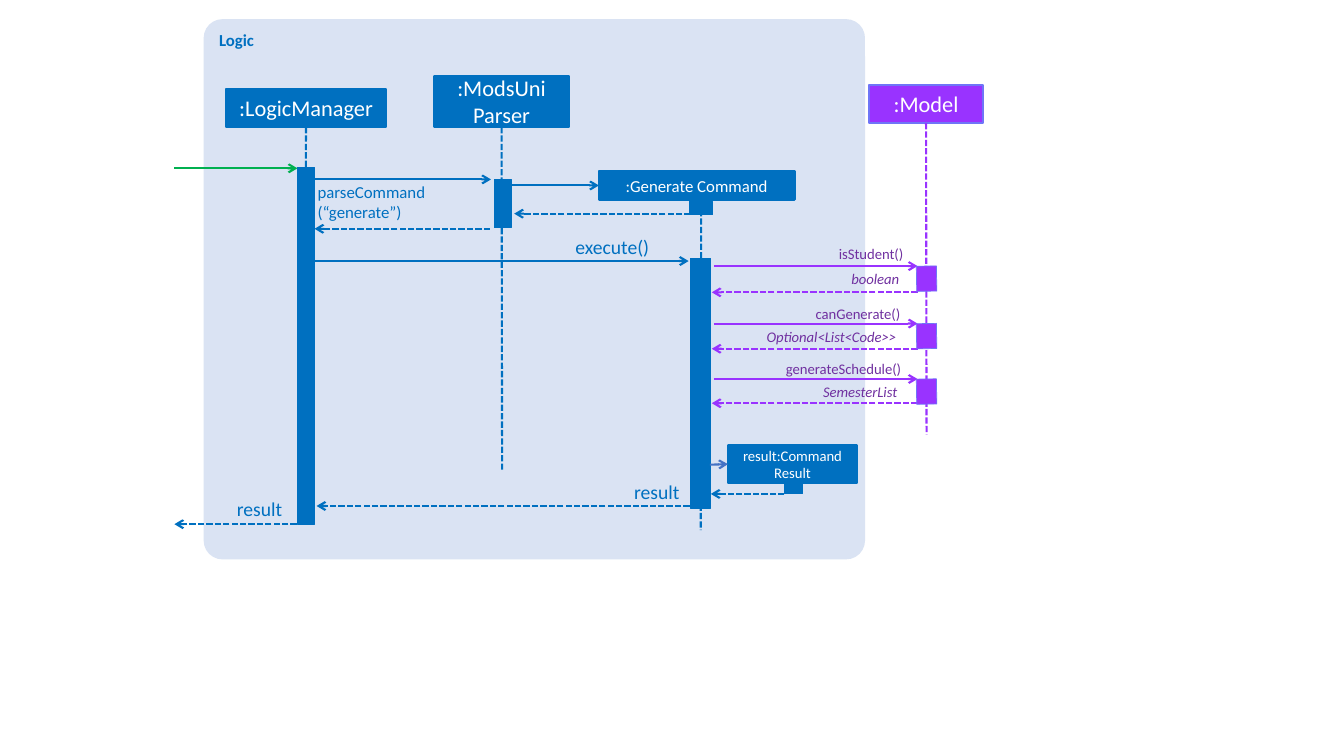
from lxml import etree
from pptx import Presentation
from pptx.dml.color import RGBColor
from pptx.enum.dml import MSO_LINE
from pptx.enum.shapes import MSO_CONNECTOR, MSO_SHAPE
from pptx.enum.text import MSO_ANCHOR, MSO_AUTO_SIZE, PP_ALIGN
from pptx.oxml.ns import qn
from pptx.util import Inches, Pt

RECT, ROUNDED = MSO_SHAPE.RECTANGLE, MSO_SHAPE.ROUNDED_RECTANGLE
STRAIGHT, DASHED = MSO_CONNECTOR.STRAIGHT, MSO_LINE.SQUARE_DOT
TOP, MIDDLE = MSO_ANCHOR.TOP, MSO_ANCHOR.MIDDLE
GROW = MSO_AUTO_SIZE.SHAPE_TO_FIT_TEXT
LEFT, CENTER, RIGHT = PP_ALIGN.LEFT, PP_ALIGN.CENTER, PP_ALIGN.RIGHT
TOP_SIDE, LEFT_SIDE, BOTTOM_SIDE = 0, 1, 2

COLORS = {
    "panel": "DAE3F3", "logic": "0070C0", "model": "9933FF",
    "model_edge": "6F75F7", "model_text": "7030A0", "caller": "00B050",
    "create": "4472C4", "white": "FFFFFF",
}


class SequenceDiagram:
    """Draws on a grid whose columns and rows are a tenth of an inch."""

    font = "Calibri"
    cell = Inches(0.1)
    line_width = 1.5

    def __init__(self, slide):
        self.shapes = slide.shapes

    def grid(self, *lengths):
        return [round(length * self.cell) for length in lengths]

    def color(self, name):
        return RGBColor.from_string(COLORS[name])

    def set_text(self, frame, text, size, color, align, bold=False, italic=False):
        frame.word_wrap = True
        frame.text = text
        for paragraph in frame.paragraphs:
            paragraph.alignment = align
            for run in paragraph.runs:
                run.font.name, run.font.size = self.font, Pt(size)
                run.font.bold, run.font.italic = bold, italic
                run.font.color.rgb = self.color(color)

    def block(self, col, row, cols, rows, fill, edge=None, width=0.5, kind=RECT):
        block = self.shapes.add_shape(kind, *self.grid(col, row, cols, rows))
        block.shadow.inherit = False
        block.fill.solid()
        block.fill.fore_color.rgb = self.color(fill)
        if edge:
            block.line.color.rgb = self.color(edge)
            block.line.width = Pt(width)
        else:
            block.line.fill.background()
        return block

    def panel(self, col, row, cols, rows, title):
        panel = self.block(col, row, cols, rows, "panel", kind=ROUNDED)
        panel.adjustments[0] = 0.035
        panel.text_frame.vertical_anchor = TOP
        self.set_text(panel.text_frame, title, 12, "logic", LEFT, bold=True)

    def participant(self, col, row, cols, rows, name, size=16, fill="logic", edge="logic"):
        participant = self.block(col, row, cols, rows, fill, edge, self.line_width)
        participant.text_frame.vertical_anchor = MIDDLE
        self.set_text(participant.text_frame, name, size, "white", CENTER)
        return participant

    def activation(self, col, row, cols, rows):
        return self.block(col, row, cols, rows, "logic", "logic")

    def line(self, start, end, color="logic", dashed=False, arrow=True):
        line = self.shapes.add_connector(STRAIGHT, *self.grid(*start, *end))
        line.line.color.rgb = self.color(color)
        line.line.width = Pt(self.line_width)
        if dashed:
            line.line.dash_style = DASHED
        properties = line._element.spPr
        if arrow:
            etree.SubElement(properties.find(qn("a:ln")), qn("a:tailEnd"), type="arrow")
        etree.SubElement(properties, qn("a:effectLst"))
        return line

    def lifeline(self, source, side, col, top, bottom, color="logic"):
        line = self.line((col, top), (col, bottom), color, dashed=True, arrow=False)
        line.begin_connect(source, side)

    def message(self, start, end, row, color="logic"):
        return self.line((start, row), (end, row), color)

    def reply(self, start, end, row, color="logic"):
        return self.line((start, row), (end, row), color, dashed=True)

    def label(self, col, row, cols, rows, text, size=14, color="logic", align=RIGHT, italic=False):
        frame = self.shapes.add_textbox(*self.grid(col, row, cols, rows)).text_frame
        frame.margin_left = frame.margin_right = 0
        frame.margin_top = frame.margin_bottom = 0
        frame.auto_size = GROW
        self.set_text(frame, text, size, color, align, italic=italic)


def main():
    prs = Presentation()
    prs.slide_width, prs.slide_height = Inches(13.33), Inches(7.5)
    diagram = SequenceDiagram(prs.slides.add_slide(prs.slide_layouts[6]))

    # Logic component and participants
    diagram.panel(20.2, 1.9, 65.6, 53.6, "Logic")
    logic_manager = diagram.participant(22.4, 8.8, 15.9, 3.8, ":LogicManager")
    parser = diagram.participant(43.1, 7.5, 13.3, 5.1, ":ModsUni\vParser")
    model = diagram.participant(86.2, 8.4, 11.3, 3.8, ":Model", 16, "model", "model_edge")
    generate_command = diagram.participant(59.4, 17, 19.4, 2.8, ":Generate Command", 12)
    command_result = diagram.participant(72.2, 44.2, 12.8, 3.7, "result:Command Result", 10.5)

    # Lifelines
    command_creation = diagram.activation(68.4, 20, 2.3, 1.3)
    diagram.lifeline(logic_manager, BOTTOM_SIDE, 30.3, 12.8, 41.2)
    diagram.lifeline(parser, BOTTOM_SIDE, 49.8, 12.8, 46.6)
    diagram.lifeline(model, BOTTOM_SIDE, 91.9, 12.1, 43.1, "model")
    diagram.lifeline(command_creation, TOP_SIDE, 69.5, 20, 52.6)

    # Activation bars
    for bar in [(29.5, 16.6, 1.7, 35.4), (49, 17.8, 1.7, 4.8),
                (68.5, 25.6, 2, 24.8), (77.8, 48, 1.8, 1)]:
        diagram.activation(*bar)

    # Parsing the command
    diagram.message(17.3, 29.5, 16.7, "caller")
    diagram.message(31.2, 48.7, 17.8)
    diagram.message(50.4, 59.4, 18.4).end_connect(generate_command, LEFT_SIDE)
    diagram.reply(68.5, 51, 21.2)
    diagram.reply(48.6, 31.2, 22.7)
    diagram.label(31.5, 18, 15.6, 4, "parseCommand\n(“generate”)", 12, align=LEFT)

    # Executing the command
    diagram.message(31.2, 68.3, 25.9)
    diagram.label(55, 23.3, 9.4, 2.4, "execute()")

    # Calls to the model: call row, reply row, label column, label row, texts
    model_calls = [
        (26.4, 29, 74, 24.3, "isStudent()", "boolean"),
        (32.1, 34.6, 73.7, 30.2, "canGenerate()", "Optional<List<Code>>"),
        (37.6, 40, 73.8, 35.7, "generateSchedule()", "SemesterList"),
    ]
    for call_row, reply_row, col, label_row, call, answer in model_calls:
        diagram.message(70.8, 91, call_row, "model")
        diagram.reply(91, 70.6, reply_row, "model")
        diagram.block(90.9, call_row, 2, 2.5, "model", "model_edge").rotation = 359
        diagram.label(col, label_row, 15.6, 1.8, call, 10.5, "model_text")
        diagram.label(col - 0.4, call_row + 0.4, 15.6, 1.8, answer, 10.5,
                      "model_text", italic=True)

    # Returning the result
    diagram.message(70.4, 72.2, 46.1, "create").end_connect(command_result, LEFT_SIDE)
    diagram.reply(77.8, 70.5, 49)
    diagram.reply(68.4, 31.4, 50.2)
    diagram.reply(31.1, 17.3, 52)
    diagram.label(60.6, 47.6, 6.8, 2.4, "result")
    diagram.label(19.7, 49.3, 8.3, 2.4, "result")

    prs.save("out.pptx")


if __name__ == "__main__":
    main()
